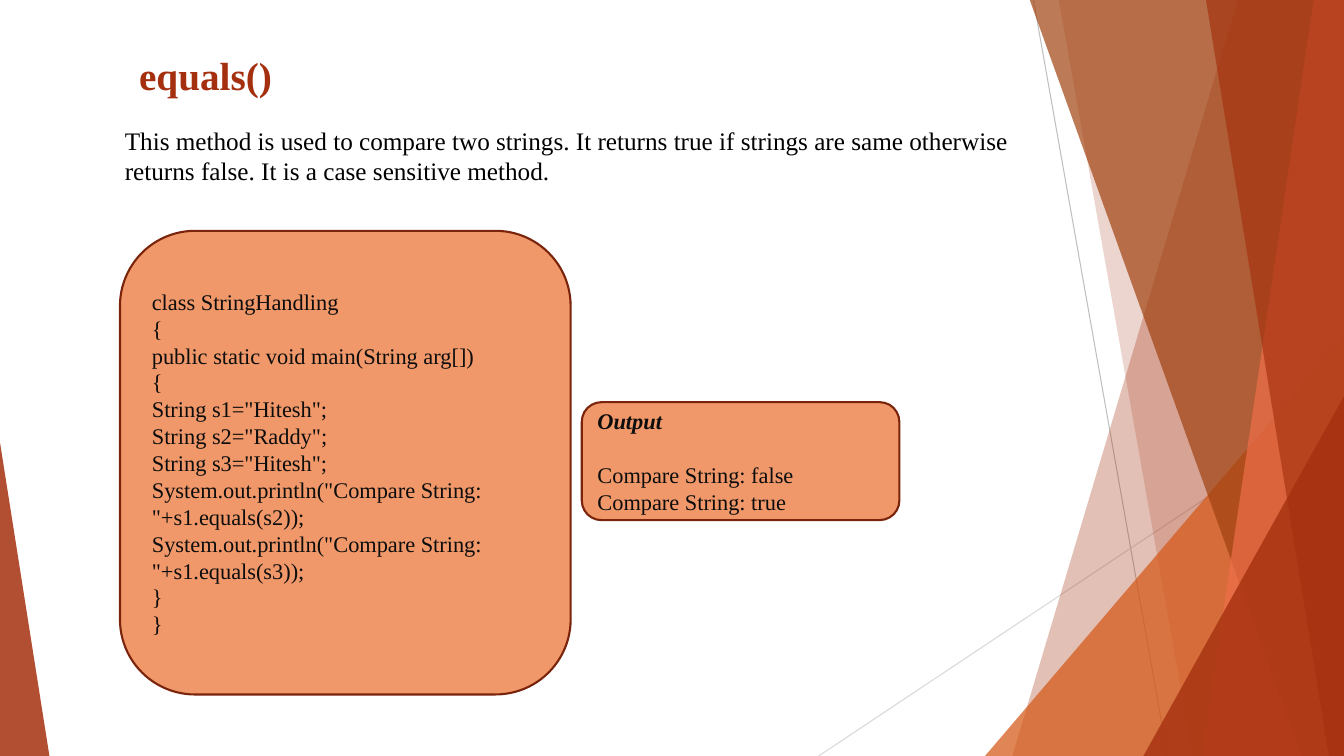
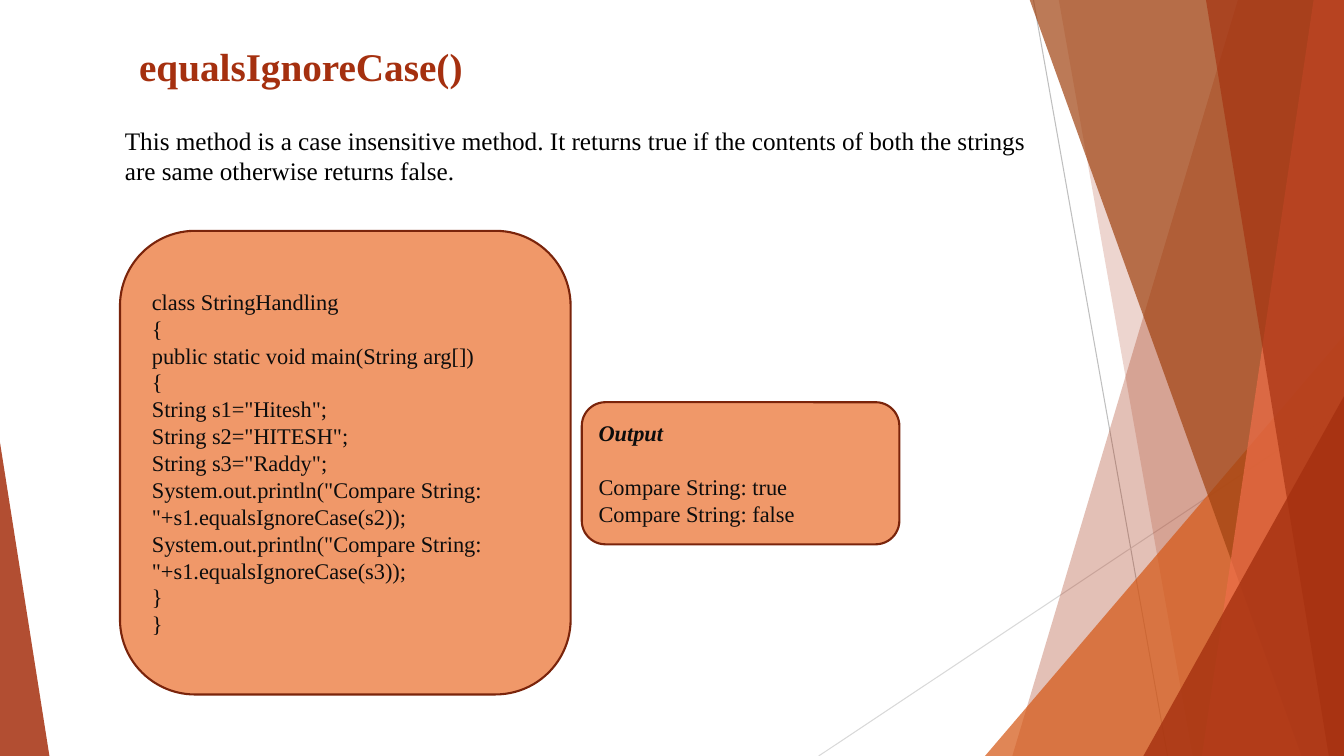
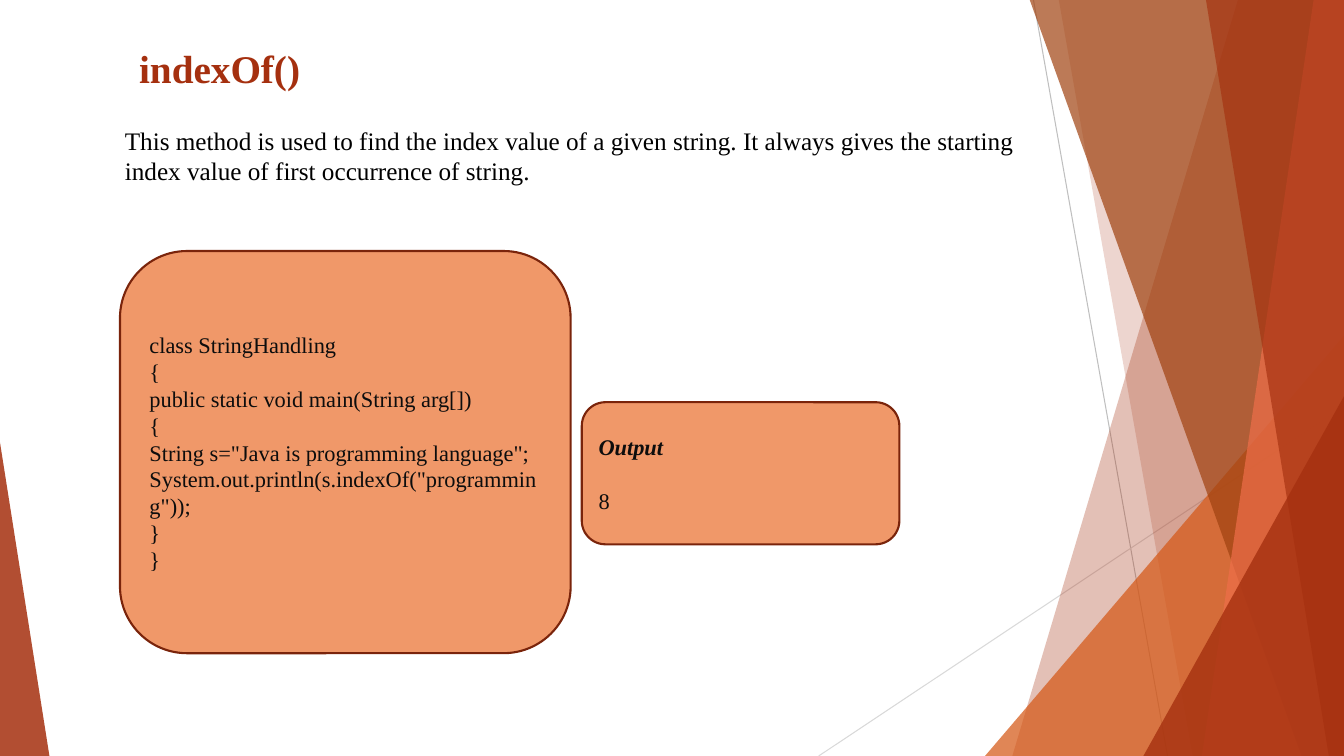
from dataclasses import dataclass

from lxml import etree
from pptx import Presentation
from pptx.dml.color import RGBColor
from pptx.enum.shapes import MSO_CONNECTOR, MSO_SHAPE
from pptx.enum.text import MSO_ANCHOR, MSO_AUTO_SIZE, PP_ALIGN
from pptx.oxml.ns import qn
from pptx.util import Inches, Pt

TRIANGLE = MSO_SHAPE.RIGHT_TRIANGLE
TRIANGLE = MSO_SHAPE.ISOSCELES_TRIANGLE
ROUNDED = MSO_SHAPE.ROUNDED_RECTANGLE
STRAIGHT = MSO_CONNECTOR.STRAIGHT
TOP, MIDDLE = MSO_ANCHOR.TOP, MSO_ANCHOR.MIDDLE
LEFT = PP_ALIGN.LEFT
NO_FIT, GROW = MSO_AUTO_SIZE.NONE, MSO_AUTO_SIZE.SHAPE_TO_FIT_TEXT


@dataclass(frozen=True)
class Theme:
    """Colours, type sizes and line widths shared by the slides."""
    font: str = "Times New Roman"
    accent: str = "A5300F"
    orange: str = "D55816"
    brown: str = "A04210"
    coral: str = "EE6E4A"
    panel: str = "F09869"
    panel_edge: str = "7A240B"
    body: str = "000000"
    code: str = "0D0D0D"
    title_size: float = 28
    body_size: float = 18
    code_size: float = 16
    leading: float = 1.2
    edge_width: float = 1.5
    ray_width: float = 0.75


@dataclass(frozen=True)
class Ray:
    """A thin line across the backdrop."""
    start: tuple[float, float]
    end: tuple[float, float]
    color: str


@dataclass(frozen=True)
class Facet:
    """A full-height band from a slanted left edge to the right slide edge."""
    top_x: float
    bottom_x: float
    color: str
    opacity: int


@dataclass(frozen=True)
class Corner:
    """A triangle standing on the bottom slide edge."""
    left: float
    top: float
    width: float
    apex: float
    color: str
    opacity: int


@dataclass(frozen=True)
class Method:
    """One string method with its explanation, example and output."""
    name: str
    title_top: float
    title_height: float
    summary: str
    code_top: float
    code_height: float
    statements: tuple[str, ...]
    output_height: float
    results: tuple[str, ...]


THEME = Theme()
SLIDE_WIDTH, SLIDE_HEIGHT = 13.33, 7.5
FACET_TOP = -0.01
RAYS = (
    Ray((10.25, 0), (11.58, SLIDE_HEIGHT), "BFBFBF"),
    Ray((SLIDE_WIDTH, 4.03), (8.12, SLIDE_HEIGHT), "D9D9D9"),
)
FACETS = (
    Facet(12.28, 10.04, THEME.accent, 30),
    Facet(10.5, 11.83, THEME.accent, 20),
    Corner(9.77, 3.33, 3.56, 1, THEME.orange, 72),
    Facet(10.21, 12.91, THEME.brown, 70),
    Facet(13.03, 11.92, THEME.coral, 70),
    Facet(11.96, 13.18, THEME.accent, 65),
    Corner(11.34, 3.93, 1.99, 1, THEME.accent, 80),
    Corner(0, 4.39, 0.49, 0, THEME.accent, 85),
)
OPENING = ("class StringHandling", "{", "public static void main(String arg[])", "{")
CLOSING = ("}", "}")
METHODS = (
    Method(
        "equals()", 0.46, 0.5,
        "This method is used to compare two strings. It returns true if strings are same "
        "otherwise returns false. It is a case sensitive method.",
        2.29, 4.6,
        (
            'String s1="Hitesh";', 'String s2="Raddy";', 'String s3="Hitesh";',
            'System.out.println("Compare String: "+s1.equals(s2));',
            'System.out.println("Compare String: "+s1.equals(s3));',
        ),
        1.17, ("Compare String: false", "Compare String: true"),
    ),
    Method(
        "equalsIgnoreCase()", 0.37, 0.57,
        "This method is a case insensitive method. It returns true if the contents of both "
        "the strings are same otherwise returns false.",
        2.29, 4.6,
        (
            'String s1="Hitesh";', 'String s2="HITESH";', 'String s3="Raddy";',
            'System.out.println("Compare String: "+s1.equalsIgnoreCase(s2));',
            'System.out.println("Compare String: "+s1.equalsIgnoreCase(s3));',
        ),
        1.41, ("Compare String: true", "Compare String: false"),
    ),
    Method(
        "indexOf()", 0.39, 0.64,
        "This method is used to find the index value of a given string. It always gives the "
        "starting index value of first occurrence of string.",
        2.49, 3.99,
        (
            'String s="Java is programming language";',
            'System.out.println(s.indexOf("programming"));',
        ),
        1.41, ("8",),
    ),
)


def rgb(color: str) -> RGBColor:
    """Turn a hex colour into an RGBColor."""
    return RGBColor.from_string(color)


def add_run(paragraph, text: str, size: float, color: str, bold=False, italic=False) -> None:
    """Append one formatted run to a left-aligned paragraph."""
    paragraph.alignment = LEFT
    run = paragraph.add_run()
    run.text = text
    font = run.font
    font.name, font.size = THEME.font, Pt(size)
    font.bold, font.italic = bold, italic
    font.color.rgb = rgb(color)


def paint_glass(shape, color: str, opacity: int) -> None:
    """Give a shape a see-through fill without outline or shadow."""
    shape.shadow.inherit = False
    shape.line.fill.background()
    shape.fill.solid()
    shape.fill.fore_color.rgb = rgb(color)
    tint = shape.element.spPr.find(qn("a:solidFill"))[0]
    etree.SubElement(tint, qn("a:alpha")).set("val", str(opacity * 1000))


def draw_ray(shapes, ray: Ray) -> None:
    """Draw one backdrop line."""
    ends = [Inches(value) for value in (*ray.start, *ray.end)]
    connector = shapes.add_connector(STRAIGHT, *ends)
    connector.line.color.rgb = rgb(ray.color)
    connector.line.width = Pt(THEME.ray_width)
    etree.SubElement(connector.element.spPr, qn("a:effectLst"))


def draw_facet(shapes, facet: Facet) -> None:
    """Draw one slanted backdrop band."""
    outline = shapes.build_freeform(Inches(facet.top_x), Inches(FACET_TOP))
    rest = ((SLIDE_WIDTH, FACET_TOP), (SLIDE_WIDTH, SLIDE_HEIGHT), (facet.bottom_x, SLIDE_HEIGHT))
    outline.add_line_segments([(Inches(x), Inches(y)) for x, y in rest], close=True)
    paint_glass(outline.convert_to_shape(), facet.color, facet.opacity)


def draw_corner(shapes, corner: Corner) -> None:
    """Draw one backdrop triangle."""
    triangle = shapes.add_shape(
        TRIANGLE, Inches(corner.left), Inches(corner.top),
        Inches(corner.width), Inches(SLIDE_HEIGHT - corner.top),
    )
    triangle.adjustments[0] = corner.apex
    paint_glass(triangle, corner.color, corner.opacity)


def install_backdrop(slide, layout) -> None:
    """Build the backdrop and store it in the layout, behind its title."""
    for placeholder in list(layout.placeholders)[1:]:
        layout.shapes.element.remove(placeholder.element)
    content_count = len(slide.shapes)
    for ray in RAYS:
        draw_ray(slide.shapes, ray)
    for piece in FACETS:
        if isinstance(piece, Facet):
            draw_facet(slide.shapes, piece)
        else:
            draw_corner(slide.shapes, piece)
    for position, shape in enumerate(list(slide.shapes)[content_count:], start=2):
        layout.shapes.element.insert(position, shape.element)


def set_title(slide, method: Method) -> None:
    """Place and fill the slide title."""
    title = slide.shapes.title
    title.left, title.top = Inches(1.28), Inches(method.title_top)
    title.width, title.height = Inches(7.42), Inches(method.title_height)
    frame = title.text_frame
    frame.word_wrap, frame.auto_size, frame.vertical_anchor = True, NO_FIT, TOP
    add_run(frame.paragraphs[0], method.name, THEME.title_size, THEME.accent, bold=True)


def add_summary(slide, text: str) -> None:
    """Add the explanation under the title."""
    summary = slide.shapes.add_textbox(Inches(1.14), Inches(0.9), Inches(9.4), Inches(1.01))
    frame = summary.text_frame
    frame.word_wrap, frame.auto_size = True, GROW
    frame.margin_top = Inches(0.34)
    paragraph = frame.paragraphs[0]
    paragraph.line_spacing = Pt(THEME.body_size * THEME.leading)
    add_run(paragraph, text, THEME.body_size, THEME.body)


def add_panel(slide, left: float, top: float, width: float, height: float,
              lines: tuple[str, ...], heading: str = "") -> None:
    """Add a rounded panel of text lines under an optional heading."""
    panel = slide.shapes.add_shape(ROUNDED, Inches(left), Inches(top), Inches(width), Inches(height))
    panel.shadow.inherit = False
    panel.fill.solid()
    panel.fill.fore_color.rgb = rgb(THEME.panel)
    panel.line.color.rgb = rgb(THEME.panel_edge)
    panel.line.width = Pt(THEME.edge_width)
    frame = panel.text_frame
    frame.word_wrap, frame.vertical_anchor = True, MIDDLE
    frame.margin_top = frame.margin_bottom = 0
    leading = Pt(THEME.code_size * THEME.leading)
    texts = (heading, *lines) if heading else lines
    for index, text in enumerate(texts):
        paragraph = frame.add_paragraph() if index else frame.paragraphs[0]
        paragraph.line_spacing = leading
        is_heading = bool(heading) and index == 0
        if is_heading:
            paragraph.space_after = leading
        add_run(paragraph, text, THEME.code_size, THEME.code, is_heading, is_heading)


def main() -> None:
    """Build and save the presentation."""
    deck = Presentation()
    deck.slide_width, deck.slide_height = Inches(SLIDE_WIDTH), Inches(SLIDE_HEIGHT)
    layout = deck.slide_layouts.get_by_name("Title Only")
    for index, method in enumerate(METHODS):
        slide = deck.slides.add_slide(layout)
        if index == 0:
            install_backdrop(slide, layout)
        set_title(slide, method)
        add_summary(slide, method.summary)
        add_panel(slide, 1.19, method.code_top, 4.47, method.code_height,
                  (*OPENING, *method.statements, *CLOSING))
        add_panel(slide, 5.77, 3.99, 3.15, method.output_height, method.results, "Output")
    deck.save("out.pptx")


if __name__ == "__main__":
    main()
